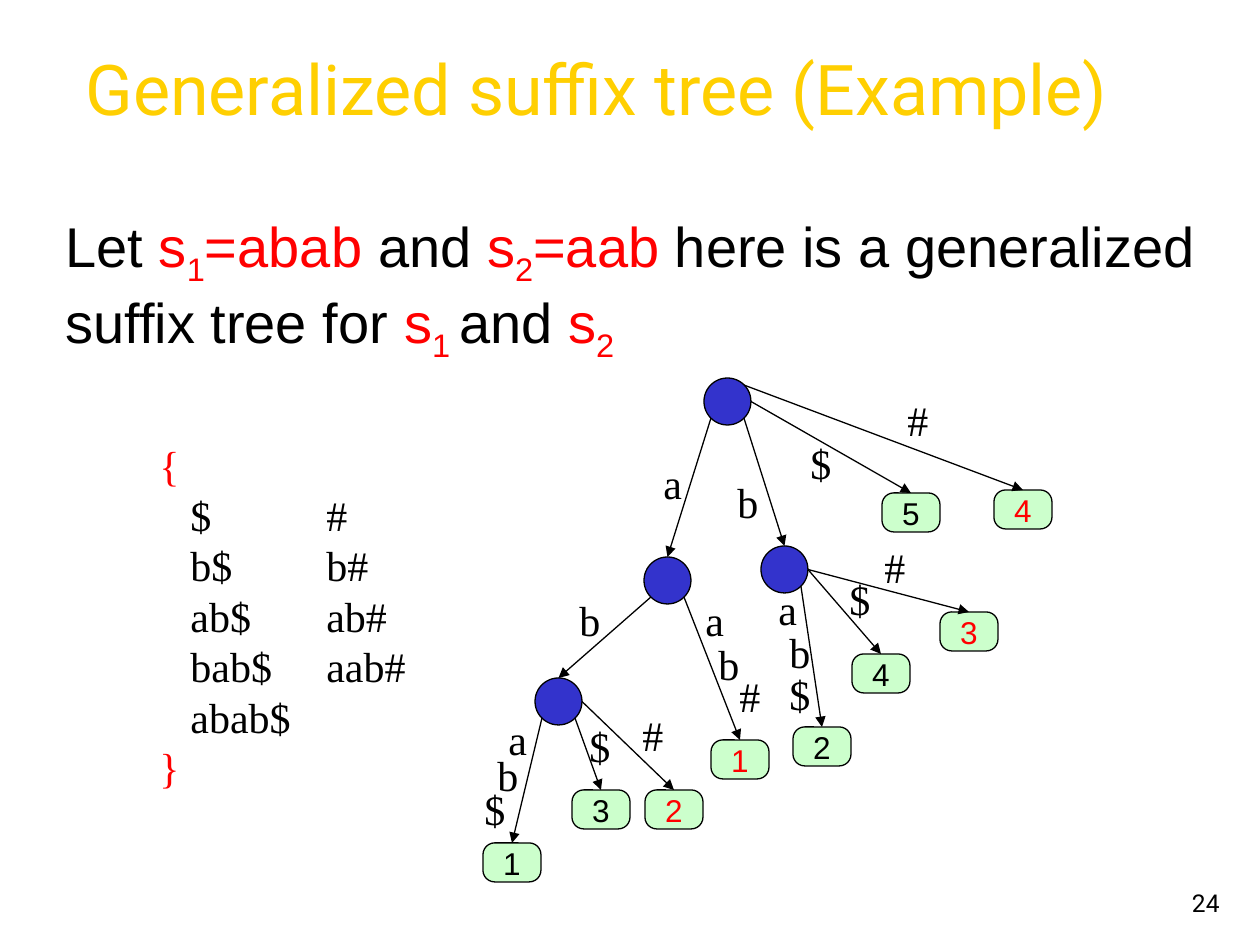
from lxml.etree import SubElement
from pptx import Presentation
from pptx.dml.color import RGBColor
from pptx.enum.shapes import MSO_CONNECTOR, MSO_SHAPE
from pptx.enum.text import MSO_ANCHOR, PP_ALIGN
from pptx.oxml.ns import qn
from pptx.util import Pt

PX = 914400 // 126
COLORS = {"title": "FFCF01", "black": "000000", "red": "FF0000", "node": "3333CC", "leaf": "CCFFCC"}
SERIF = "Times New Roman"

TITLE = "Generalized suffix tree (Example)"
INTRO = [
    ("Let ", "black", False), ("s", "red", False), ("1", "red", True), ("=abab ", "red", False),
    ("and ", "black", False), ("s", "red", False), ("2", "red", True), ("=aab", "red", False),
    (" here is a generalized suffix tree for ", "black", False),
    ("s", "red", False), ("1 ", "red", True), ("and ", "black", False),
    ("s", "red", False), ("2", "red", True),
]
SUFFIXES = [("$", "#"), ("b$", "b#"), ("ab$", "ab#"), ("bab$", "aab#"), ("abab$", "")]
SUFFIX_TABS = [31, 167]

NODE_SIZE = 47
LEAF_SIZE = (58, 39)
NODES = {"root": (704, 378), "a": (644, 557), "b": (761, 546), "ab": (535, 678)}
LEAVES = {
    "abab$": ("1", "black", 483, 843), "bab$": ("2", "black", 793, 727),
    "ab$": ("3", "black", 572, 790), "b$": ("4", "black", 852, 654),
    "$": ("5", "black", 882, 493), "aab#": ("1", "red", 711, 740),
    "ab#": ("2", "red", 645, 790), "b#": ("3", "red", 940, 612),
    "#": ("4", "red", 994, 490),
}
SIDES = {"lower left": (-0.35, 0.35), "lower right": (0.35, 0.35), "right": (0.5, 0), "upper right": (0.35, -0.35)}
EDGES = [
    ("root", "lower left", "a"), ("root", "lower right", "b"),
    ("root", "right", "$"), ("root", "upper right", "#"),
    ("a", "lower left", "ab"), ("a", "lower right", "aab#"),
    ("b", "lower right", "bab$"), ("b", "right", "b$"), ("b", "right", "b#"),
    ("ab", "lower left", "abab$"), ("ab", "lower right", "ab$"), ("ab", "right", "ab#"),
]
LABELS = [
    ("a", 651, 451), ("b", 725, 470), ("$", 798, 431), ("#", 895, 388),
    ("b", 567, 588), ("a", 693, 588), ("b", 706, 632), ("#", 727, 664),
    ("a", 766, 577), ("b", 777, 620), ("$", 777, 662), ("$", 837, 567), ("#", 872, 535),
    ("a", 496, 707), ("b", 485, 743), ("$", 472, 777), ("$", 577, 714), ("#", 630, 703),
]

prs = Presentation()
prs.slide_width, prs.slide_height = 1260 * PX, 945 * PX
s = prs.slides.add_slide(prs.slide_layouts[6])


def rgb(name):
    return RGBColor.from_string(COLORS[name])


def set_font(font, name, size, color):
    font.name, font.size = name, Pt(size)
    font.color.rgb = rgb(color)


def add_text(box, text, name, size, color, anchor=MSO_ANCHOR.TOP, align=PP_ALIGN.LEFT):
    tf = s.shapes.add_textbox(*(round(v * PX) for v in box)).text_frame
    tf.word_wrap = True
    tf.vertical_anchor = anchor
    p = tf.paragraphs[0]
    p.text, p.alignment = text, align
    set_font(p.font, name, size, color)
    return tf


def add_shape(kind, box, fill):
    sp = s.shapes.add_shape(kind, *(v * PX for v in box))
    sp.shadow.inherit = False
    sp.fill.solid()
    sp.fill.fore_color.rgb = rgb(fill)
    sp.line.color.rgb = rgb("black")
    sp.line.width = Pt(0.75)
    return sp


def add_arrow(start, end):
    c = s.shapes.add_connector(MSO_CONNECTOR.STRAIGHT, *(round(v * PX) for v in start + end))
    c.line.color.rgb = rgb("black")
    c.line.width = Pt(0.75)
    SubElement(c.line._get_or_add_ln(), qn("a:tailEnd"), type="triangle")
    SubElement(c._element.spPr, qn("a:effectLst"))


def top_center(name):
    if name in NODES:
        x, y = NODES[name]
        return x + NODE_SIZE / 2, y
    x, y = LEAVES[name][2:]
    return x + LEAF_SIZE[0] / 2, y


add_text((73, 29, 1144, 117), TITLE, "Roboto", 40, "title", MSO_ANCHOR.MIDDLE)

p = add_text((53, 205, 1166, 166), "", "Arial", 32, "black").paragraphs[0]
p.space_before = Pt(8)
for text, color, subscript in INTRO:
    r = p.add_run()
    r.text = text
    set_font(r.font, "Arial", 32, color)
    if subscript:
        r.font._element.set("baseline", "-25000")

tf = add_text((147, 433, 320, 365), "{", SERIF, 24, "red")
for pair in SUFFIXES:
    p = tf.add_paragraph()
    p.text = "\t" + "\t".join(filter(None, pair))
    set_font(p.font, SERIF, 24, "black")
    tabs = SubElement(p._p.get_or_add_pPr(), qn("a:tabLst"))
    p._p.pPr.insert(0, tabs)
    for pos in SUFFIX_TABS:
        SubElement(tabs, qn("a:tab"), pos=str(pos * PX), algn="l")
p = tf.add_paragraph()
p.text = "}"
set_font(p.font, SERIF, 24, "red")

for x, y in NODES.values():
    add_shape(MSO_SHAPE.OVAL, (x, y, NODE_SIZE, NODE_SIZE), "node")

for number, color, x, y in LEAVES.values():
    sp = add_shape(MSO_SHAPE.ROUNDED_RECTANGLE, (x, y, *LEAF_SIZE), "leaf")
    sp.adjustments[0] = 0.3
    tf = sp.text_frame
    tf.word_wrap = False
    tf.vertical_anchor = MSO_ANCHOR.MIDDLE
    p = tf.paragraphs[0]
    p.text, p.alignment = number, PP_ALIGN.CENTER
    set_font(p.font, "Arial", 18, color)

for parent, side, child in EDGES:
    x, y = NODES[parent]
    dx, dy = SIDES[side]
    add_arrow((x + (0.5 + dx) * NODE_SIZE, y + (0.5 + dy) * NODE_SIZE), top_center(child))

for text, x, y in LABELS:
    tf = add_text((x, y, 53, 63), text, SERIF, 24, "black")
    tf.paragraphs[0].space_before = Pt(15)

add_text((970, 861, 262, 63), "24", "Roboto", 14, "black", MSO_ANCHOR.BOTTOM, PP_ALIGN.RIGHT)

prs.save("out.pptx")
